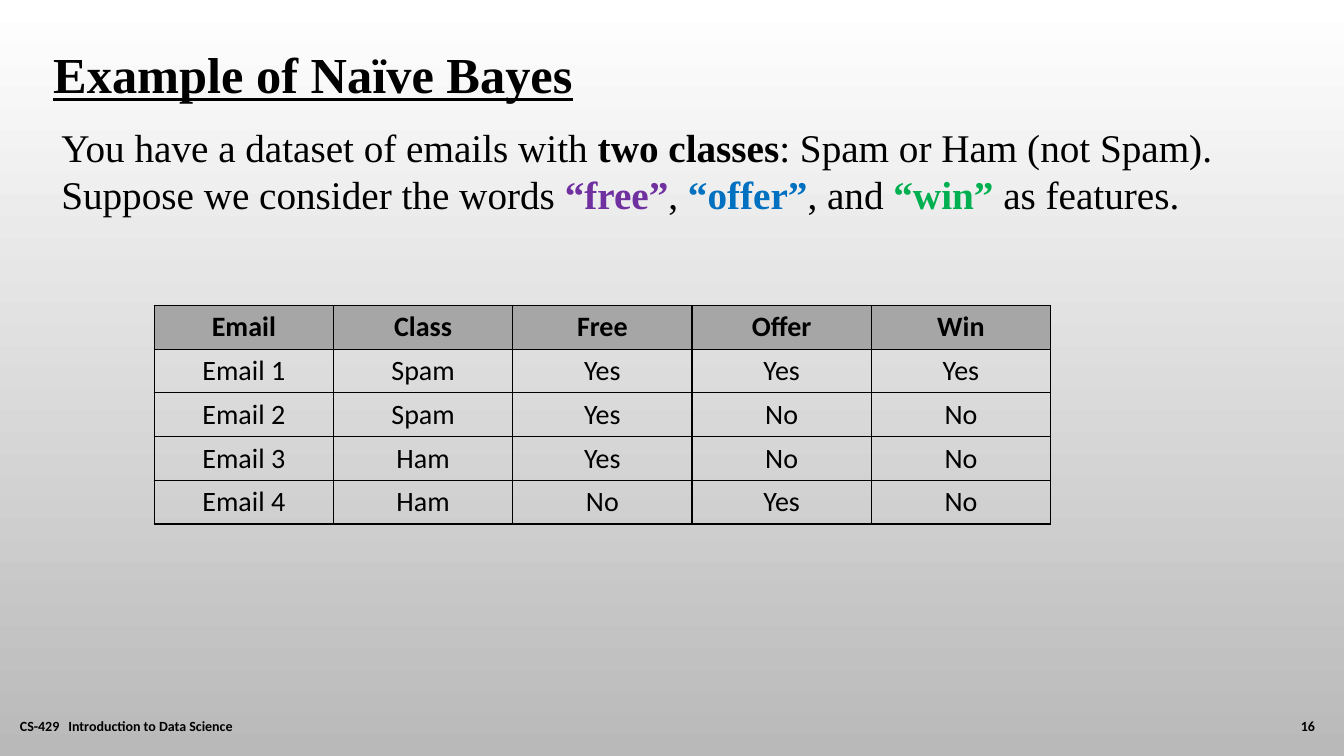
from lxml.etree import SubElement
from pptx import Presentation
from pptx.dml.color import RGBColor
from pptx.enum.text import MSO_ANCHOR, PP_ALIGN
from pptx.oxml.ns import qn
from pptx.util import Inches, Pt

BLACK = RGBColor(0x00, 0x00, 0x00)
WHITE = RGBColor(0xFF, 0xFF, 0xFF)
SILVER = RGBColor(0xB9, 0xB9, 0xB9)
GRAY = RGBColor(0xA6, 0xA6, 0xA6)
PURPLE = RGBColor(0x70, 0x30, 0xA0)
BLUE = RGBColor(0x00, 0x70, 0xC0)
GREEN = RGBColor(0x00, 0xB0, 0x50)

SERIF, SANS = "Times New Roman", "Calibri"
TITLE = {"name": SERIF, "size": Pt(36), "bold": True, "underline": True}
BODY = {"name": SERIF, "size": Pt(28), "bold": False}
FOOT = {"name": SANS, "size": Pt(10), "bold": True}
CELL = {"name": SANS, "size": Pt(20), "bold": False}

# Each run: text, bold, colour
INTRO = [
    ("You have a dataset of emails with ", False, BLACK),
    ("two classes", True, BLACK),
    (": Spam or Ham (not Spam). Suppose we consider the words ", False, BLACK),
    ("“free”", True, PURPLE),
    (", ", False, BLACK),
    ("“offer”", True, BLUE),
    (", and ", False, BLACK),
    ("“win”", True, GREEN),
    (" as features.", False, BLACK),
]
COURSE = "CS-429\tIntroduction to Data Science"
EMAILS = [
    ("Email", "Class", "Free", "Offer", "Win"),
    ("Email 1", "Spam", "Yes", "Yes", "Yes"),
    ("Email 2", "Spam", "Yes", "No", "No"),
    ("Email 3", "Ham", "Yes", "No", "No"),
    ("Email 4", "Ham", "No", "Yes", "No"),
]
GRID = (1.53, 3.03, 8.89, 2.17)


def add_run(para, text, style, color=BLACK, **more):
    run = para.add_run()
    run.text = text
    for key, value in {**style, **more}.items():
        setattr(run.font, key, value)
    run.font.color.rgb = color


def add_box(slide, area, anchor=MSO_ANCHOR.TOP, align=PP_ALIGN.LEFT):
    """Add an empty text box and return its first paragraph."""
    frame = slide.shapes.add_textbox(*map(Inches, area)).text_frame
    frame.word_wrap = True
    frame.vertical_anchor = anchor
    para = frame.paragraphs[0]
    para.alignment = align
    return para


def set_tab(para, inches):
    tabs = SubElement(para._p.get_or_add_pPr(), qn("a:tabLst"))
    SubElement(tabs, qn("a:tab"), pos=str(Inches(inches)), algn="l")


def set_lines(cell):
    """Put a thin black line on all four sides of a cell."""
    props = cell._tc.get_or_add_tcPr()
    for place, side in enumerate(("a:lnL", "a:lnR", "a:lnT", "a:lnB")):
        line = SubElement(props, qn(side), w=str(Pt(1)))
        fill = SubElement(line, qn("a:solidFill"))
        SubElement(fill, qn("a:srgbClr"), val=str(BLACK))
        props.insert(place, line)


def add_grid(slide):
    rows, cols = len(EMAILS), len(EMAILS[0])
    table = slide.shapes.add_table(rows, cols, *map(Inches, GRID)).table
    table.first_row = table.horz_banding = False
    for col in table.columns:
        col.width = Inches(GRID[2] / cols)
    for r, texts in enumerate(EMAILS):
        table.rows[r].height = Inches(GRID[3] / rows)
        for c, text in enumerate(texts):
            cell = table.cell(r, c)
            cell.vertical_anchor = MSO_ANCHOR.MIDDLE
            cell.margin_top = cell.margin_bottom = Inches(0.04)
            if r == 0:
                cell.fill.solid()
                cell.fill.fore_color.rgb = GRAY
            else:
                cell.fill.background()
            set_lines(cell)
            para = cell.text_frame.paragraphs[0]
            para.alignment = PP_ALIGN.CENTER
            add_run(para, text, CELL, bold=r == 0)


def main():
    prs = Presentation()
    prs.slide_width, prs.slide_height = Inches(13.33), Inches(7.5)
    slide = prs.slides.add_slide(prs.slide_layouts[6])

    back = slide.background.fill
    back.gradient()
    back.gradient_angle = 270
    for stop, color in zip(back.gradient_stops, (WHITE, SILVER)):
        stop.color.rgb = color

    add_run(add_box(slide, (0.43, 0.38, 12.23, 0.71)),
            "Example of Naïve Bayes", TITLE)

    course = add_box(slide, (0.1, 7, 7.3, 0.4), MSO_ANCHOR.MIDDLE)
    set_tab(course, 0.48)
    add_run(course, COURSE, FOOT)
    number = add_box(slide, (12.3, 7, 0.84, 0.4), MSO_ANCHOR.MIDDLE,
                     PP_ALIGN.RIGHT)
    add_run(number, "16", FOOT)

    intro = add_box(slide, (0.51, 1.17, 12.47, 1.04))
    for text, bold, color in INTRO:
        add_run(intro, text, BODY, color, bold=bold)

    add_grid(slide)
    prs.save("out.pptx")


if __name__ == "__main__":
    main()
